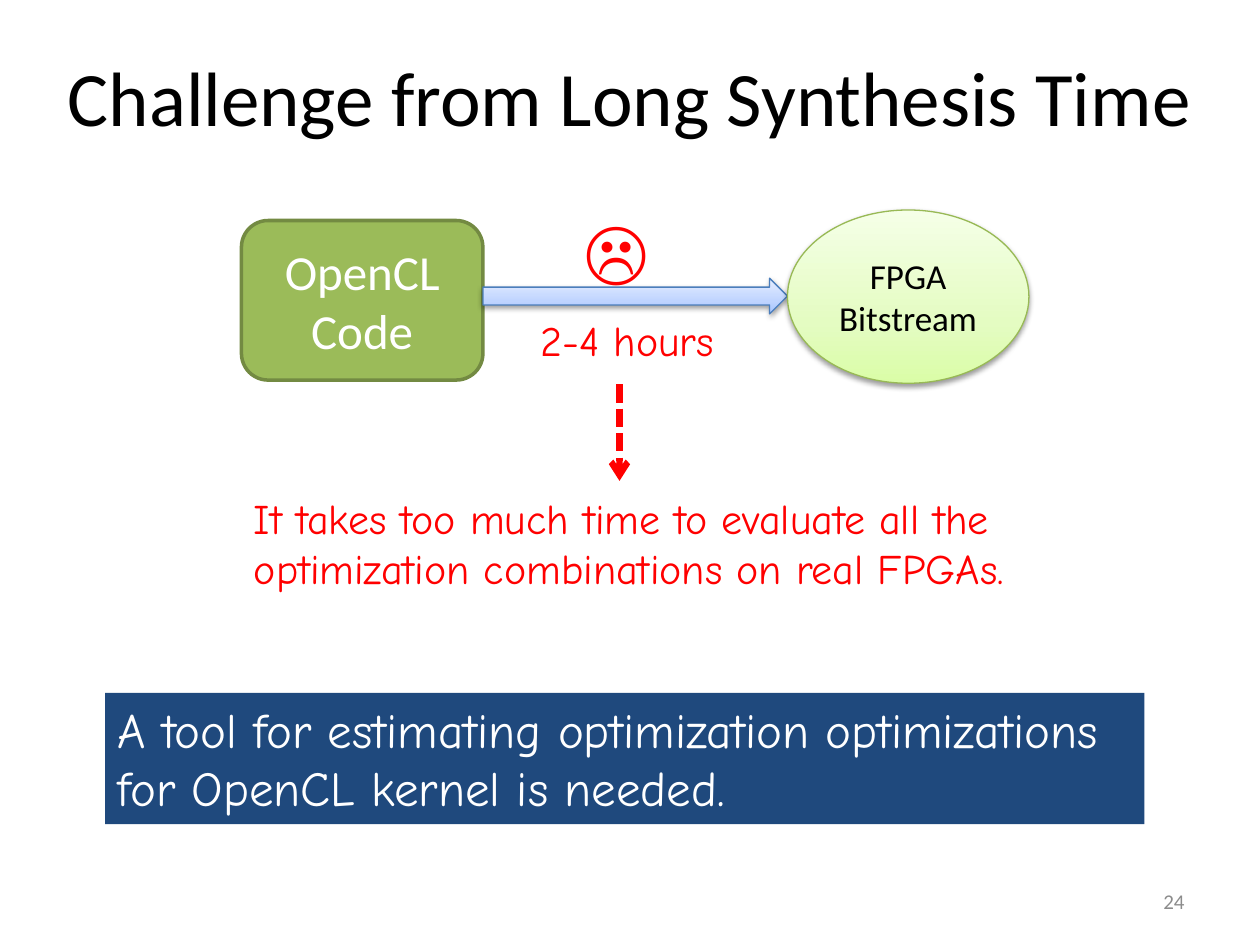
"""Build the slide on the challenge of long synthesis time."""
from dataclasses import dataclass
from typing import Optional

from lxml import etree
from pptx import Presentation
from pptx.dml.color import RGBColor
from pptx.enum.dml import MSO_LINE
from pptx.enum.shapes import MSO_CONNECTOR, MSO_SHAPE
from pptx.enum.text import MSO_ANCHOR, PP_ALIGN
from pptx.oxml.ns import qn
from pptx.util import Emu, Inches, Pt

LEFT, CENTER, RIGHT = PP_ALIGN.LEFT, PP_ALIGN.CENTER, PP_ALIGN.RIGHT
TOP, MIDDLE = MSO_ANCHOR.TOP, MSO_ANCHOR.MIDDLE
RECT, ROUNDED = MSO_SHAPE.RECTANGLE, MSO_SHAPE.ROUNDED_RECTANGLE
ARROW, OVAL = MSO_SHAPE.RIGHT_ARROW, MSO_SHAPE.OVAL
STRAIGHT, DASH = MSO_CONNECTOR.STRAIGHT, MSO_LINE.SQUARE_DOT
SANS, COMIC = "Calibri", "Comic Neue"
COLS, ROWS = 120, 90
WIDTH, HEIGHT = Inches(10), Inches(7.5)
COLORS = {
    "black": "000000", "white": "FFFFFF", "gray": "8C8C8C", "red": "FF0000",
    "navy": "1F497D", "green": "9BBB59", "green_line": "738A42",
    "lime_line": "98B955", "blue_line": "4B7EBC",
}
GRADIENTS = {
    "blue": ((0, "A4C4FF"), (35, "BFD4FF"), (100, "E6EEFF")),
    "lime": ((0, "DAFDA7"), (35, "E4FCC2"), (100, "F5FFE7")),
}


@dataclass
class Label:
    """Text with its look."""
    text: str
    size: float
    color: str
    font: str = SANS
    align: PP_ALIGN = LEFT
    anchor: MSO_ANCHOR = TOP


@dataclass
class Box:
    """A shape or text box placed in grid columns and rows."""
    col: float
    row: float
    cols: float
    rows: float
    label: Optional[Label] = None
    shape: Optional[MSO_SHAPE] = None
    fill: str = ""
    line: str = ""
    weight: float = 0.75


BOXES = [
    Box(86, 83.4, 28, 4.8, Label("24", 12, "gray", align=RIGHT, anchor=MIDDLE)),
    Box(23, 21, 23, 15.2, Label("OpenCL Code", 28, "white", SANS, CENTER, MIDDLE),
        ROUNDED, "green", "green_line", 2),
    Box(46, 26.5, 29, 3.4, None, ARROW, "blue", "blue_line"),
    Box(75, 20, 23, 16.5, Label("FPGA Bitstream", 20, "black", SANS, CENTER, MIDDLE),
        OVAL, "lime", "lime_line"),
    Box(50.3, 29.4, 22, 6, Label("2-4 hours", 24, "red", COMIC)),
    Box(54.5, 19.1, 9, 9.2, Label("☹", 40, "red", COMIC)),
    Box(10, 66, 99, 12.5, Label(
        "A tool for estimating optimization optimizations for OpenCL kernel is needed.",
        28, "white", COMIC), RECT, "navy"),
    Box(23, 46.3, 85.3, 10.9, Label(
        "It takes too much time to evaluate all the optimization combinations "
        "on real FPGAs.", 24, "red", COMIC)),
]


def x(col: float) -> Emu:
    """Turn grid columns into a length."""
    return Emu(round(WIDTH * col / COLS))


def y(row: float) -> Emu:
    """Turn grid rows into a length."""
    return Emu(round(HEIGHT * row / ROWS))


def rgb(name: str) -> RGBColor:
    """Look up a colour by name."""
    return RGBColor.from_string(COLORS[name])


def write(sp, label: Label) -> None:
    """Write a label into a shape."""
    tf = sp.text_frame
    tf.word_wrap = True
    tf.vertical_anchor = label.anchor
    p = tf.paragraphs[0]
    p.alignment = label.align
    r = p.add_run()
    r.text = label.text
    r.font.name = label.font
    r.font.size = Pt(label.size)
    r.font.color.rgb = rgb(label.color)


def add_gradient(sp, name: str) -> None:
    """Fill a shape with an upward gradient and give it a soft shadow."""
    sp.fill.gradient()
    sp.fill.gradient_angle = 90
    props = sp._element.spPr
    stops = props.find(f"{qn('a:gradFill')}/{qn('a:gsLst')}")
    stops.clear()
    for pos, color in GRADIENTS[name]:
        stop = etree.SubElement(stops, qn("a:gs"), pos=str(pos * 1000))
        etree.SubElement(stop, qn("a:srgbClr"), val=color)
    shadow = etree.SubElement(
        props.find(qn("a:effectLst")), qn("a:outerShdw"), blurRad=str(Pt(3.1)),
        dist=str(Pt(1.6)), dir="5400000", rotWithShape="0")
    color = etree.SubElement(shadow, qn("a:srgbClr"), val=COLORS["black"])
    etree.SubElement(color, qn("a:alpha"), val="38000")


def add_box(s, box: Box) -> None:
    """Draw a shape or text box."""
    place = x(box.col), y(box.row), x(box.cols), y(box.rows)
    if box.shape is None:
        sp = s.shapes.add_textbox(*place)
    else:
        sp = s.shapes.add_shape(box.shape, *place)
        sp.shadow.inherit = False
        if box.fill in GRADIENTS:
            add_gradient(sp, box.fill)
        else:
            sp.fill.solid()
            sp.fill.fore_color.rgb = rgb(box.fill)
        if box.line:
            sp.line.color.rgb = rgb(box.line)
            sp.line.width = Pt(box.weight)
        else:
            sp.line.fill.background()
    if box.label:
        write(sp, box.label)


def add_dashed_arrow(s, col: float, start: float, end: float) -> None:
    """Draw a dashed red arrow down a column."""
    sp = s.shapes.add_connector(STRAIGHT, x(col), y(start), x(col), y(end))
    sp.line.color.rgb = rgb("red")
    sp.line.width = Pt(3.5)
    sp.line.dash_style = DASH
    props = sp._element.spPr
    etree.SubElement(props.find(qn("a:ln")), qn("a:tailEnd"), type="arrow")
    etree.SubElement(props, qn("a:effectLst"))


def main() -> None:
    """Build and save the slide."""
    prs = Presentation()
    prs.slide_width, prs.slide_height = WIDTH, HEIGHT
    s = prs.slides.add_slide(prs.slide_layouts[5])
    title = s.shapes.title
    title.left, title.top, title.width, title.height = x(5), y(3.4), x(110), y(11.4)
    write(title, Label("Challenge from Long Synthesis Time", 44, "black",
                       SANS, CENTER, MIDDLE))
    for box in BOXES:
        add_box(s, box)
    add_dashed_arrow(s, 59, 36.6, 45.8)
    prs.save("out.pptx")


if __name__ == "__main__":
    main()
